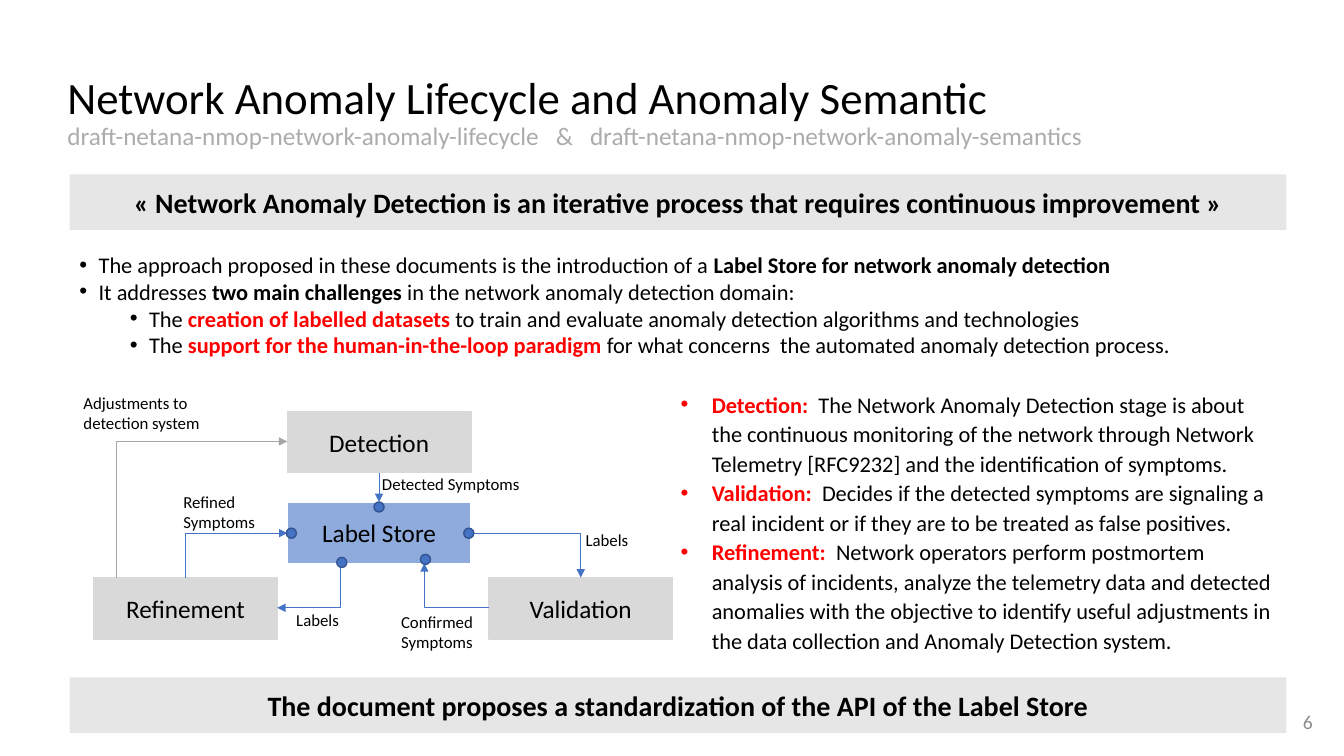
from lxml import etree
from pptx import Presentation
from pptx.dml.color import RGBColor
from pptx.enum.shapes import MSO_CONNECTOR, MSO_SHAPE
from pptx.enum.text import MSO_ANCHOR, PP_ALIGN
from pptx.oxml.ns import qn
from pptx.util import Inches, Pt

RECT, OVAL = MSO_SHAPE.RECTANGLE, MSO_SHAPE.OVAL
STRAIGHT, ELBOW = MSO_CONNECTOR.STRAIGHT, MSO_CONNECTOR.ELBOW
TOP, MIDDLE = MSO_ANCHOR.TOP, MSO_ANCHOR.MIDDLE
LEFT, CENTER, RIGHT = PP_ALIGN.LEFT, PP_ALIGN.CENTER, PP_ALIGN.RIGHT

FONT = "Calibri"
COLORS = {
    "text": "000000", "accent": "FF0000", "subtitle": "AEABAB", "number": "8C8C8C",
    "banner": "E7E6E6", "stage": "D9D9D9", "store": "8FAADC", "store_edge": "FFFFFF",
    "flow": "4472C4", "port_edge": "325491", "adjustment": "A6A6A6",
}
STAGE_W, STAGE_H, PORT = 1.82, 0.61, 0.1


def rgb(name):
    return RGBColor.from_string(COLORS[name])


def add_run(paragraph, text, size, color="text", bold=False):
    run = paragraph.add_run()
    run.text = text
    run.font.name, run.font.size, run.font.bold = FONT, Pt(size), bold
    run.font.color.rgb = rgb(color)


def set_bullet(paragraph, left, hanging, color):
    props = paragraph._p.get_or_add_pPr()
    props.set("marL", str(Inches(left)))
    props.set("indent", str(-Inches(hanging)))
    bullet_color = etree.SubElement(props, qn("a:buClr"))
    etree.SubElement(bullet_color, qn("a:srgbClr"), val=COLORS[color])
    etree.SubElement(props, qn("a:buFont"), typeface="Arial")
    etree.SubElement(props, qn("a:buChar"), char="•")


def add_text_frame(slide, left, top, width, height, anchor=TOP, wrap=True):
    box = slide.shapes.add_textbox(Inches(left), Inches(top), Inches(width), Inches(height))
    frame = box.text_frame
    frame.word_wrap, frame.vertical_anchor = wrap, anchor
    return frame


def next_paragraph(frame, index):
    return frame.add_paragraph() if index else frame.paragraphs[0]


def add_shape(slide, kind, left, top, width, height, fill, edge=None):
    shape = slide.shapes.add_shape(
        kind, Inches(left), Inches(top), Inches(width), Inches(height))
    shape.shadow.inherit = False
    shape.fill.solid()
    shape.fill.fore_color.rgb = rgb(fill)
    if edge:
        shape.line.color.rgb = rgb(edge)
        shape.line.width = Pt(1)
    else:
        shape.line.fill.background()
    return shape


def add_box(slide, text, left, top, width, height, fill, edge, size, bold=False):
    frame = add_shape(slide, RECT, left, top, width, height, fill, edge).text_frame
    frame.word_wrap, frame.vertical_anchor = True, MIDDLE
    paragraph = frame.paragraphs[0]
    paragraph.alignment = CENTER
    add_run(paragraph, text, size, bold=bold)


def add_banner(slide, text, top):
    add_box(slide, text, 0.69, top, 12.07, 0.55, "banner", None, 20, True)


def add_label(slide, lines, left, top, width, height):
    frame = add_text_frame(slide, left, top, width, height, wrap=False)
    for index, line in enumerate(lines):
        add_run(next_paragraph(frame, index), line, 12)


def add_arrow(slide, start, end, color="flow", geometry=None):
    """Draw an arrow; bentConnector2 leaves sideways, bentConnector3 leaves upright."""
    kind = ELBOW if geometry else STRAIGHT
    arrow = slide.shapes.add_connector(kind, *(Inches(v) for v in (*start, *end)))
    arrow.line.color.rgb = rgb(color)
    arrow.line.width = Pt(0.5)
    props = arrow._element.spPr
    if geometry:
        preset = props.find(qn("a:prstGeom"))
        preset.set("prst", geometry)
        if geometry == "bentConnector3":
            guides = preset.find(qn("a:avLst"))
            etree.SubElement(guides, qn("a:gd"), name="adj1", fmla="val 0")
    etree.SubElement(arrow.line._get_or_add_ln(), qn("a:tailEnd"), type="triangle")
    etree.SubElement(props, qn("a:effectLst"))


def add_title(slide):
    frame = add_text_frame(slide, 0.57, 0.4, 12.55, 1.45, MIDDLE)
    title = frame.paragraphs[0]
    title.line_spacing = 0.9
    add_run(title, "Network Anomaly Lifecycle and Anomaly Semantic", 32)
    title.add_line_break()
    add_run(title, "draft-netana-nmop-network-anomaly-lifecycle   &   ", 18, "subtitle")
    add_run(title, "draft-netana-nmop-network-anomaly-semantics", 18, "subtitle")


def add_approach(slide):
    points = [
        (0, "text", "The approach proposed in these documents is the introduction of a ",
         "Label Store for network anomaly detection", ""),
        (0, "text", "It addresses ", "two main challenges",
         " in the network anomaly detection domain:"),
        (1, "accent", "The ", "creation of labelled datasets ",
         "to train and evaluate anomaly detection algorithms and technologies"),
        (1, "accent", "The ", "support for the human-in-the-loop paradigm ",
         "for what concerns  the automated anomaly detection process."),
    ]
    frame = add_text_frame(slide, 0.69, 2.44, 12.07, 1.18)
    for index, (level, color, before, key, after) in enumerate(points):
        point = next_paragraph(frame, index)
        point.level = level
        set_bullet(point, 0.19 + 0.5 * level, 0.19, "text")
        add_run(point, before, 16)
        add_run(point, key, 16, color, True)
        if after:
            add_run(point, after, 16)


def add_stage_descriptions(slide):
    stages = [
        ("Detection:  ", "The Network Anomaly Detection stage is about the continuous "
         "monitoring of the network through Network Telemetry [RFC9232] and the "
         "identification of symptoms."),
        ("Validation:  ", "Decides if the detected symptoms are signaling a real incident "
         "or if they are to be treated as false positives."),
        ("Refinement:  ", "Network operators perform postmortem analysis of incidents, "
         "analyze the telemetry data and detected anomalies with the objective to identify "
         "useful adjustments in the data collection and Anomaly Detection system."),
    ]
    frame = add_text_frame(slide, 6.75, 3.85, 5.92, 2.7)
    frame.margin_left = frame.margin_top = frame.margin_right = frame.margin_bottom = 0
    for index, (stage, description) in enumerate(stages):
        paragraph = next_paragraph(frame, index)
        set_bullet(paragraph, 0.31, 0.31, "accent")
        paragraph.line_spacing = 1.1
        add_run(paragraph, stage, 16, "accent", True)
        add_run(paragraph, description, 16)


def add_lifecycle(slide):
    for name, left, top, fill, edge in [
        ("Detection", 2.85, 4.08, "stage", "stage"),
        ("Validation", 4.85, 5.73, "stage", "stage"),
        ("Refinement", 0.93, 5.73, "stage", "stage"),
        ("Label Store", 2.85, 4.98, "store", "store_edge"),
    ]:
        add_box(slide, name, left, top, STAGE_W, STAGE_H, fill, edge, 18)

    add_arrow(slide, (1.15, 5.73), (2.85, 4.38), "adjustment", "bentConnector3")
    add_arrow(slide, (3.76, 4.69), (3.76, 4.98))
    add_arrow(slide, (4.67, 5.29), (5.76, 5.73), geometry="bentConnector2")
    add_arrow(slide, (4.85, 6.03), (4.21, 5.59), geometry="bentConnector2")
    add_arrow(slide, (3.38, 5.59), (2.75, 6.03), geometry="bentConnector3")
    add_arrow(slide, (1.84, 5.73), (2.85, 5.29), geometry="bentConnector3")

    for lines, left, top, width, height in [
        (["Detected Symptoms"], 3.69, 4.65, 1.66, 0.32),
        (["Adjustments to", "detection system"], 0.73, 3.85, 1.44, 0.53),
        (["Labels"], 5.71, 5.21, 0.66, 0.32),
        (["Confirmed", "Symptoms"], 3.88, 6.02, 0.97, 0.53),
        (["Refined", "Symptoms"], 1.72, 4.83, 0.97, 0.53),
        (["Labels"], 2.84, 6, 0.66, 0.32),
    ]:
        add_label(slide, lines, left, top, width, height)

    for left, top in [(3.34, 5.53), (4.17, 5.5), (3.71, 4.98), (2.84, 5.24), (4.6, 5.24)]:
        add_shape(slide, OVAL, left, top, PORT, PORT, "flow", "port_edge")


def add_slide_number(slide):
    number = add_text_frame(slide, 12.67, 6.96, 0.45, 0.4, MIDDLE).paragraphs[0]
    number.alignment = RIGHT
    add_run(number, "6", 14, "number")


def main():
    deck = Presentation()
    deck.slide_width, deck.slide_height = Inches(13.33), Inches(7.5)
    slide = deck.slides.add_slide(deck.slide_layouts[6])
    add_slide_number(slide)
    add_title(slide)
    add_stage_descriptions(slide)
    add_banner(slide, "« Network Anomaly Detection is an iterative process "
               "that requires continuous improvement »", 1.73)
    add_lifecycle(slide)
    add_approach(slide)
    add_banner(slide, "The document proposes a standardization of the API of the Label Store", 6.72)
    deck.save("out.pptx")


if __name__ == "__main__":
    main()
